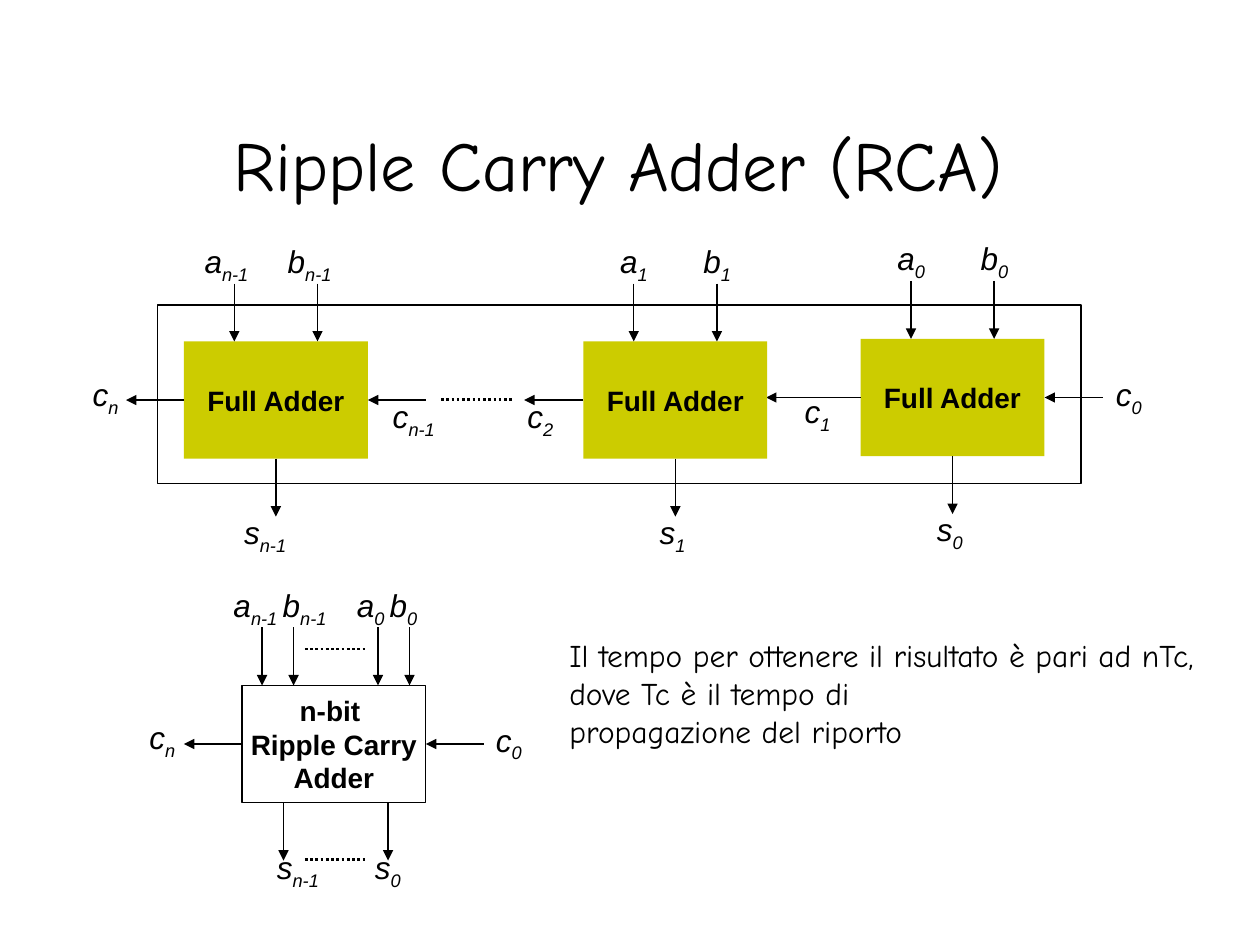
from pptx import Presentation
from pptx.dml.color import RGBColor
from pptx.enum import dml, shapes, text
from pptx.oxml import parse_xml
from pptx.oxml.ns import nsdecls, qn
from pptx.util import Inches, Pt

BLACK = RGBColor(0, 0, 0)
WHITE = RGBColor(255, 255, 255)
OLIVE = RGBColor(0xCC, 0xCC, 0)
SANS, HAND = "Arial", "Comic Neue"
WIDE, HIGH, STEM = 1.46, 0.93, 0.46  # adder box size and arrow length
TOP, LEFT, BOTTOM, RIGHT = range(4)

TITLE = "Ripple Carry Adder (RCA) "
NOTE = ["Il tempo per ottenere il risultato è pari ad nTc, dove Tc è il tempo di",
        "propagazione del riporto"]
BLOCK = ["n-bit ", "Ripple Carry", "Adder"]
FRAME = (1.25, 2.42, 7.33, 1.42)
# index, left, top, length of carry out, has a carry in of its own
STAGES = [("0", 6.83, 2.69, 0.75, True),
          ("1", 4.63, 2.71, 0.47, False),
          ("n-1", 1.46, 2.71, 0.46, True)]
# letter, index, right edge, top
CARRIES = [("c", "0", 9.16, 2.93), ("c", "1", 6.69, 3.06), ("c", "2", 4.49, 3.1),
           ("c", "n-1", 3.55, 3.1), ("c", "n", 1.04, 2.93),
           ("c", "0", 4.24, 5.67), ("c", "n", 1.49, 5.65)]
# letter, index, right edge of label, arrow x
INPUTS = [("a", "n-1", 2.3, 2.08), ("b", "n-1", 2.69, 2.33),
          ("a", "0", 3.15, 3.0), ("b", "0", 3.41, 3.25)]
SUMS = [("s", "n-1", 2.63, 2.25), ("s", "0", 3.28, 3.08)]
DOTS = [(3.5, 4.08, 3.17), (2.42, 2.92, 6.82), (2.42, 2.92, 5.15)]

prs = Presentation()
prs.slide_width, prs.slide_height = Inches(10), Inches(7.5)
slide = prs.slides.add_slide(prs.slide_layouts[6])


def write(shape, lines, size=18, font=SANS, bold=False, italic=False,
          align=text.PP_ALIGN.LEFT, anchor=text.MSO_ANCHOR.TOP, wrap=True, grow=False):
    """Fill a shape; each line is a string or a (letter, subscript) pair."""
    frame = shape.text_frame
    frame.word_wrap, frame.vertical_anchor = wrap, anchor
    if grow:
        frame.auto_size = text.MSO_AUTO_SIZE.SHAPE_TO_FIT_TEXT
    for i, line in enumerate(lines):
        para = frame.paragraphs[0] if i == 0 else frame.add_paragraph()
        para.alignment = align
        for j, part in enumerate((line,) if isinstance(line, str) else line):
            run = para.add_run()
            run.text = part
            run.font.size, run.font.name = Pt(size), font
            run.font.bold, run.font.italic = bold, italic
            run.font.color.rgb = BLACK
            if j:
                run.font._element.set("baseline", "-25000")


def textbox(x, y, w, h, lines, **style):
    box = slide.shapes.add_textbox(Inches(x), Inches(y), Inches(w), Inches(h))
    write(box, lines, **style)


def label(letter, index, right, y):
    w = 0.55 if len(index) > 1 else 0.42
    textbox(right - w, y, w, 0.44, [(letter, index)], italic=True,
            align=text.PP_ALIGN.RIGHT, wrap=False, grow=True)


def rect(x, y, w, h, fill=None, edge=True, lines=()):
    box = slide.shapes.add_shape(shapes.MSO_SHAPE.RECTANGLE, Inches(x), Inches(y),
                                 Inches(w), Inches(h))
    box.shadow.inherit = False
    if fill is None:
        box.fill.background()
    else:
        box.fill.solid()
        box.fill.fore_color.rgb = fill
    if edge:
        box.line.color.rgb, box.line.width = BLACK, Pt(0.75)
    else:
        box.line.fill.background()
    write(box, lines, size=16, bold=True, align=text.PP_ALIGN.CENTER,
          anchor=text.MSO_ANCHOR.MIDDLE, wrap=False)
    return box


def line(x1, y1, x2, y2, dots=False, start=None, end=None):
    """Draw an arrow or a dotted line; start and end are (box, side) joins."""
    link = slide.shapes.add_connector(shapes.MSO_CONNECTOR.STRAIGHT, Inches(x1),
                                      Inches(y1), Inches(x2), Inches(y2))
    link.line.color.rgb = BLACK
    link.line.width = Pt(1.5 if dots else 0.75)
    if dots:
        link.line.dash_style = dml.MSO_LINE.ROUND_DOT
    else:
        link.line._get_or_add_ln().append(
            parse_xml(f'<a:tailEnd {nsdecls("a")} type="triangle"/>'))
    link._element.find(qn("p:spPr")).append(parse_xml(f'<a:effectLst {nsdecls("a")}/>'))
    if start:
        link.begin_connect(*start)
    if end:
        link.end_connect(*end)


def carry_out(box, x, y, length):
    mid = y + HIGH / 2
    line(x, mid, x - length, mid, start=(box, LEFT))


def carry_in(box, x, y):
    mid = y + HIGH / 2
    line(x + WIDE + STEM, mid, x + WIDE, mid, end=(box, RIGHT))


rect(*FRAME, fill=WHITE)
textbox(0.75, 0.67, 8.5, 1.25, [TITLE], size=40, font=HAND,
        align=text.PP_ALIGN.CENTER, anchor=text.MSO_ANCHOR.MIDDLE)

for index, x, y, out, fed in STAGES:
    box = rect(x, y, WIDE, HIGH, fill=OLIVE, edge=False, lines=["Full Adder"])
    for letter, dx in (("a", 0.4), ("b", 1.06)):
        line(x + dx, y - STEM, x + dx, y)
        label(letter, index, x + dx + 0.21, y - 0.84)
    mid = x + WIDE / 2
    line(mid, y + HIGH, mid, y + HIGH + STEM, start=(box, BOTTOM))
    label("s", index, x + 0.91, y + 1.31)
    carry_out(box, x, y, out)
    if fed:
        carry_in(box, x, y)

x, y = 1.92, 5.44
block = rect(x, y, WIDE, HIGH, lines=BLOCK)
carry_out(block, x, y, STEM)
carry_in(block, x, y)
for letter, index, right, stem in INPUTS:
    label(letter, index, right, 4.6)
    line(stem, y - STEM, stem, y)
for letter, index, right, stem in SUMS:
    label(letter, index, right, 6.68)
    line(stem, y + HIGH, stem, y + HIGH + STEM)

for carry in CARRIES:
    label(*carry)
for x1, x2, y in DOTS:
    line(x1, y, x2, y, dots=True)
textbox(4.42, 5, 5.33, 1, NOTE, font=HAND, grow=True)

prs.save("out.pptx")
